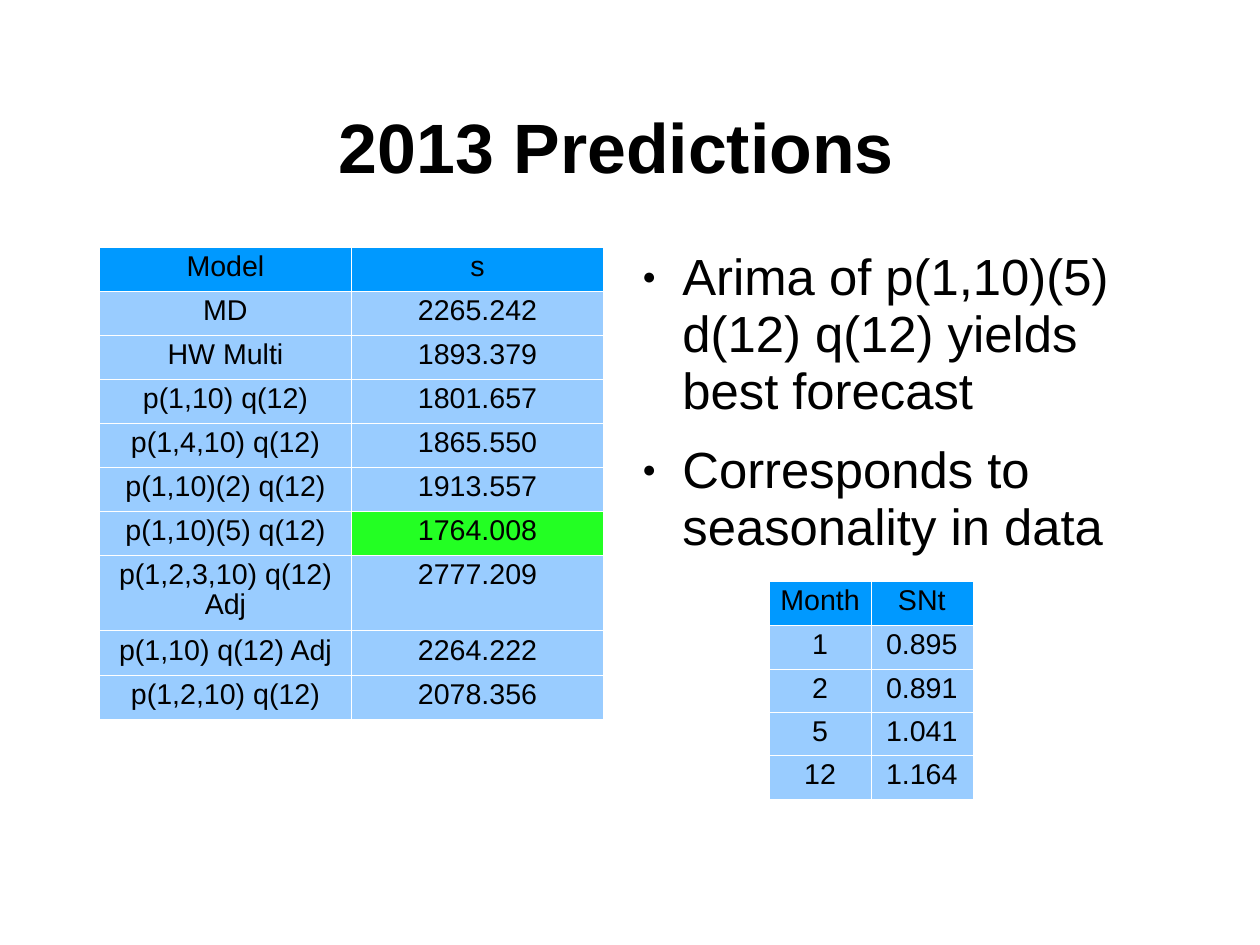
from dataclasses import dataclass

from lxml.etree import SubElement
from pptx import Presentation
from pptx.dml.color import RGBColor
from pptx.enum.text import MSO_ANCHOR as Anchor, PP_ALIGN as Align
from pptx.oxml.ns import qn
from pptx.util import Inches, Pt

FONT = "Arial"
BLACK, WHITE = "000000", "FFFFFF"
HEADER_BLUE, BODY_BLUE, BEST_GREEN = "0099FF", "99CCFF", "23FF23"
LINE_SPACING = 0.93
CM_PER_INCH = 2.54


@dataclass
class TextArea:
    left: float
    top: float
    width: float
    height: float
    top_inset: float
    anchor: Anchor
    lines: list[str]
    size: float
    bold: bool = False
    align: Align = Align.LEFT
    space_after: float = 0
    bulleted: bool = False


@dataclass
class DataTable:
    left: float
    top: float
    column_width: float
    row_heights: list[float]
    rows: list[tuple[str, str]]
    best_value: str = ""


TITLE = TextArea(0.55, 0.6, 9.69, 1.38, 0.04, Anchor.MIDDLE, ["2013 Predictions"],
                 44, bold=True, align=Align.CENTER)
FINDINGS = TextArea(5.5, 2.16, 4.42, 4.33, 0.03, Anchor.TOP, [
    "Arima of p(1,10)(5) d(12) q(12) yields best forecast",
    "Corresponds to seasonality in data",
], 32, space_after=14.3, bulleted=True)

MODEL_ROW = (4.11 - 0.64) / 9
MODELS = DataTable(0.87, 2.16, 4.41 / 2, [MODEL_ROW] * 7 + [0.64] + [MODEL_ROW] * 2, [
    ("Model", "s"),
    ("MD", "2265.242"),
    ("HW Multi", "1893.379"),
    ("p(1,10) q(12)", "1801.657"),
    ("p(1,4,10) q(12)", "1865.550"),
    ("p(1,10)(2) q(12)", "1913.557"),
    ("p(1,10)(5) q(12)", "1764.008"),
    ("p(1,2,3,10) q(12) Adj", "2777.209"),
    ("p(1,10) q(12) Adj", "2264.222"),
    ("p(1,2,10) q(12)", "2078.356"),
], best_value="1764.008")
SEASONALITY = DataTable(6.73, 5.08, 0.89, [0.39] + [0.38] * 4, [
    ("Month", "SNt"),
    ("1", "0.895"),
    ("2", "0.891"),
    ("5", "1.041"),
    ("12", "1.164"),
])


def color(value: str) -> RGBColor:
    return RGBColor.from_string(value)


def apply(target, values: dict) -> None:
    for name, value in values.items():
        setattr(target, name, value)


def write(para, text: str, size: float, bold: bool, align: Align, space_after: float = 0) -> None:
    apply(para, {"alignment": align, "line_spacing": LINE_SPACING,
                 "space_before": Pt(0), "space_after": Pt(space_after)})
    span = para.add_run()
    span.text = text
    apply(span.font, {"name": FONT, "size": Pt(size), "bold": bold})
    span.font.color.rgb = color(BLACK)


def add_bullet(para) -> None:
    properties = para._p.get_or_add_pPr()
    properties.set("marL", str(Inches(0.47)))
    properties.set("indent", str(Inches(-0.35)))
    bullet_color = SubElement(properties, qn("a:buClr"))
    SubElement(bullet_color, qn("a:srgbClr"), val=BLACK)
    SubElement(properties, qn("a:buSzPct"), val="45000")
    SubElement(properties, qn("a:buFont"), typeface=FONT)
    SubElement(properties, qn("a:buChar"), char="●")


def add_text(page, area: TextArea) -> None:
    box = page.shapes.add_textbox(Inches(area.left), Inches(area.top),
                                  Inches(area.width), Inches(area.height))
    frame = box.text_frame
    apply(frame, {"word_wrap": True, "vertical_anchor": area.anchor,
                  "margin_left": 0, "margin_right": 0, "margin_bottom": 0,
                  "margin_top": Inches(area.top_inset)})
    for index, line in enumerate(area.lines):
        para = frame.add_paragraph() if index else frame.paragraphs[0]
        if area.bulleted:
            add_bullet(para)
        write(para, line, area.size, area.bold, area.align, area.space_after)


def add_borders(cell) -> None:
    properties = cell._tc.get_or_add_tcPr()
    for side in ("lnL", "lnR", "lnT", "lnB"):
        border = SubElement(properties, qn(f"a:{side}"), w=str(Pt(0.06)))
        fill = SubElement(border, qn("a:solidFill"))
        SubElement(fill, qn("a:srgbClr"), val=WHITE)


def add_data_table(page, data: DataTable) -> None:
    frame = page.shapes.add_table(len(data.rows), 2, Inches(data.left), Inches(data.top),
                                  Inches(2 * data.column_width), Inches(sum(data.row_heights)))
    table = frame.table
    apply(table, {"first_row": False, "horz_banding": False})
    for column in table.columns:
        column.width = Inches(data.column_width)
    for row_index, (height, values) in enumerate(zip(data.row_heights, data.rows)):
        table.rows[row_index].height = Inches(height)
        for column_index, text in enumerate(values):
            cell = table.cell(row_index, column_index)
            apply(cell, {"margin_left": Inches(0.09), "margin_right": Inches(0.09),
                         "margin_top": Inches(0.05), "margin_bottom": Inches(0.05)})
            add_borders(cell)
            shade = HEADER_BLUE if row_index == 0 else BODY_BLUE
            if text == data.best_value:
                shade = BEST_GREEN
            cell.fill.solid()
            cell.fill.fore_color.rgb = color(shade)
            write(cell.text_frame.paragraphs[0], text, 18, False, Align.CENTER)


def main() -> None:
    deck = Presentation()
    apply(deck, {"slide_width": Inches(28 / CM_PER_INCH),
                 "slide_height": Inches(21 / CM_PER_INCH)})
    page = deck.slides.add_slide(deck.slide_layouts[6])
    add_text(page, TITLE)
    add_data_table(page, MODELS)
    add_text(page, FINDINGS)
    add_data_table(page, SEASONALITY)
    deck.save("out.pptx")


if __name__ == "__main__":
    main()
